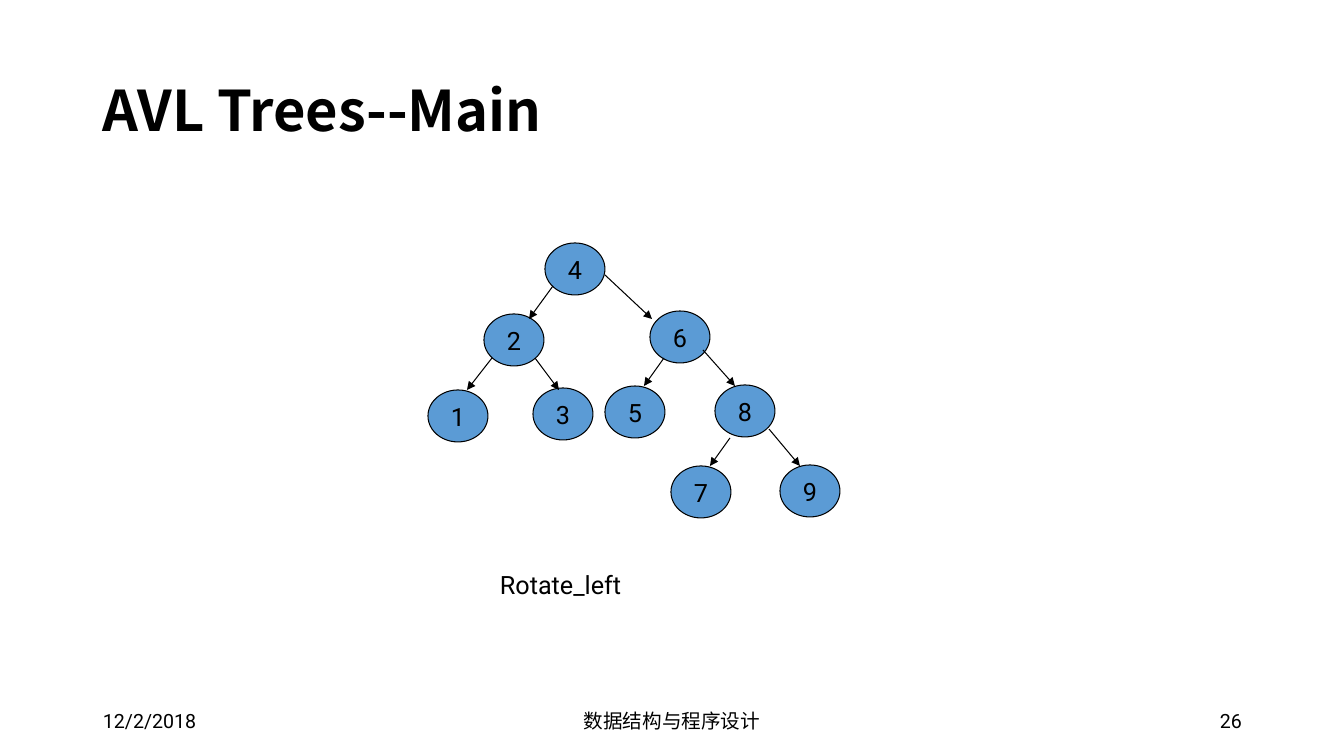
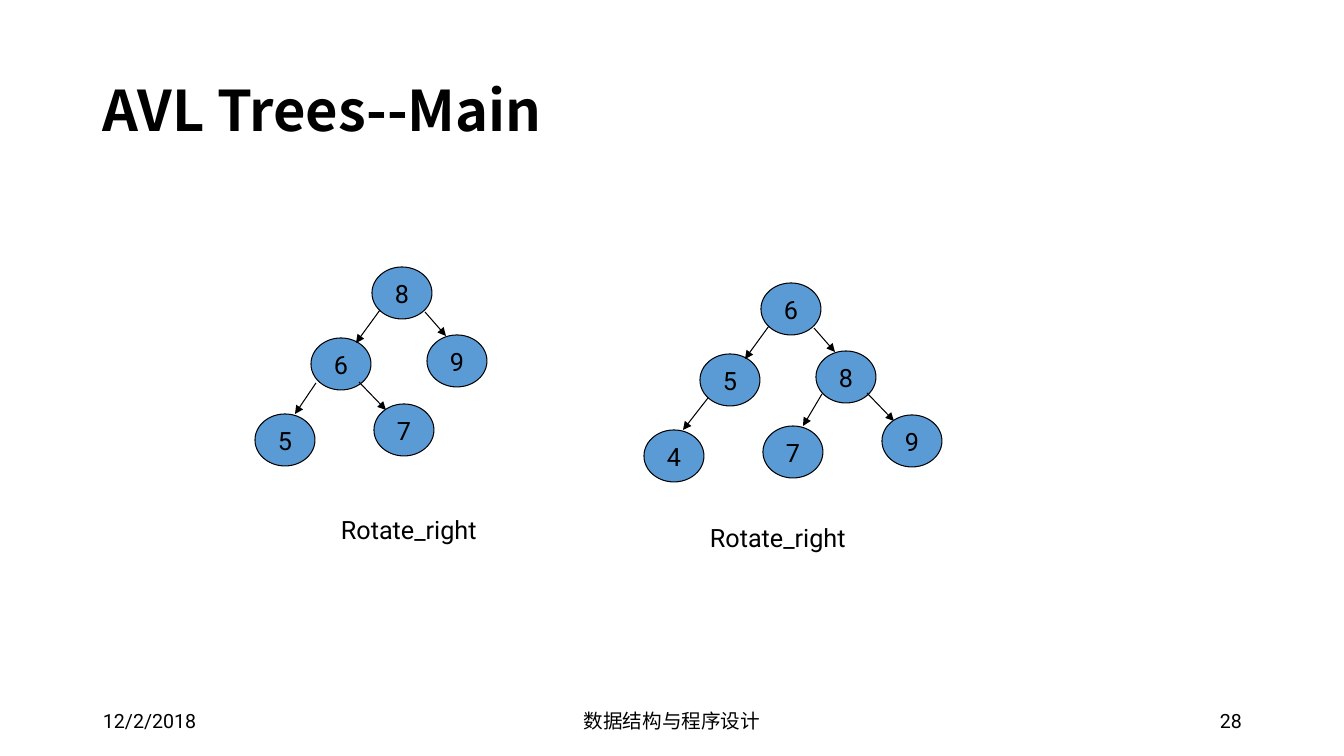
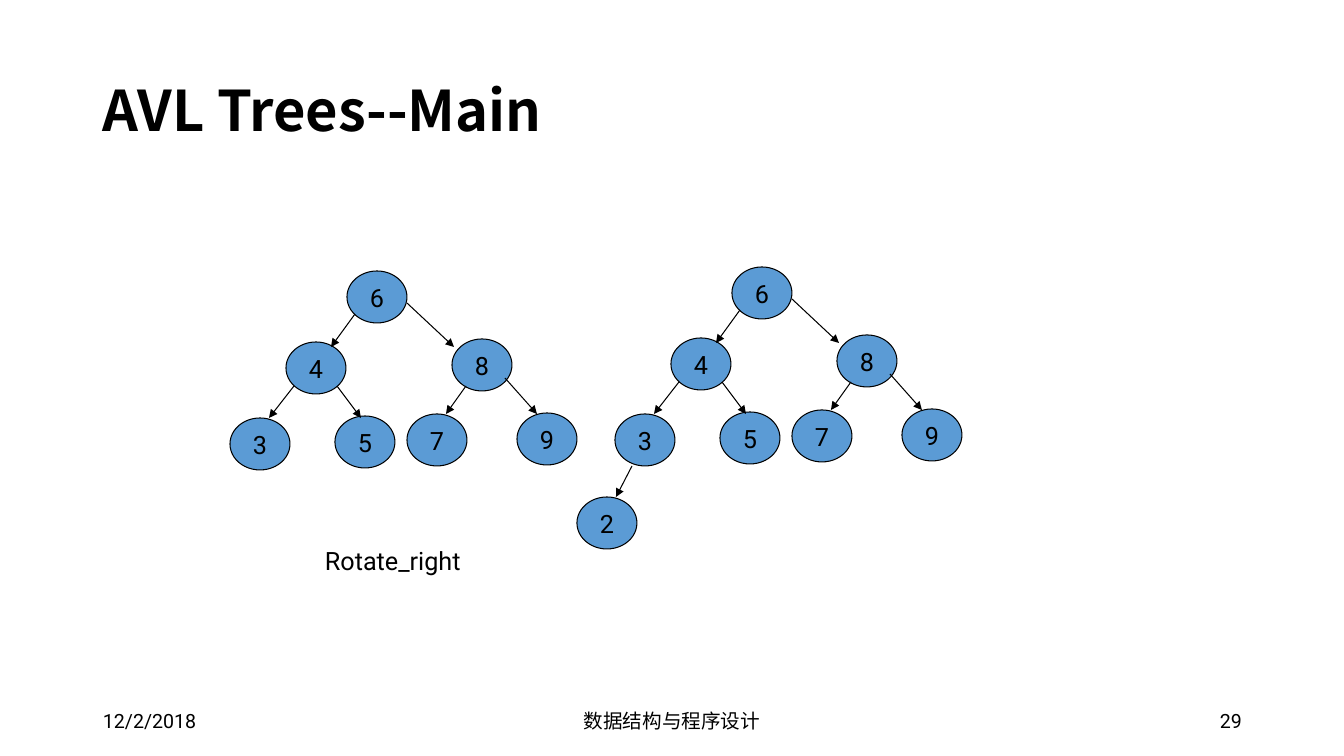
import pptx
import pptx.util
import pptx.dml.color
import pptx.enum.shapes
import pptx.enum.text
import pptx.oxml.ns
import lxml.etree

PIXEL = 914400 / 100.8
COLORS = {"ink": "000000", "node": "5B9BD5", "background": "FFFFFF"}
BODY_FONT = "Roboto"
TITLE_FONT = "Noto Sans CJK SC"
NODE_WIDTH, NODE_HEIGHT = 60, 52

TITLE = "AVL Trees--Main"
DATE = "12/2/2018"
COURSE = "数据结构与程序设计"

# Each branch path maps to (node offset, arrow start, arrow end), measured from the root.
LEFT_BRANCH = {
    "": ((0, 0), None, None),
    "L": ((-61, 71), (8, 43), (-16, 76)),
    "LL": ((-117, 147), (-53, 115), (-78, 147)),
}
WIDE = {
    **LEFT_BRANCH,
    "R": ((105, 68), (60, 32), (107, 76)),
    "LR": ((-12, 145), (-10, 115), (14, 147)),
    "RL": ((60, 143), (119, 115), (99, 143)),
    "RR": ((170, 142), (158, 107), (190, 143)),
    "LLL": ((-155, 230), (-100, 199), (-116, 230)),
    "RRL": ((126, 223), (185, 195), (165, 223)),
    "RRR": ((235, 222), (224, 186), (255, 223)),
}
NARROW = {**LEFT_BRANCH, "R": ((55, 68), (53, 45), (74, 69))}
LEFT_HEAVY = {
    **NARROW,
    "LL": ((-117, 147), (-56, 116), (-77, 147)),
    "LR": ((2, 137), (-13, 115), (14, 143)),
}
RIGHT_HEAVY = {
    **NARROW,
    "RL": ((2, 143), (61, 111), (42, 143)),
    "RR": ((121, 132), (106, 110), (133, 138)),
}

BALANCED = {"": 6, "L": 4, "R": 8, "LL": 3, "LR": 5, "RL": 7, "RR": 9}
SLIDES = [
    {
        "number": 26,
        "trees": [
            (WIDE, (545, 243), {"": 4, "L": 2, "R": 6, "LL": 1, "LR": 3,
                                "RL": 5, "RR": 8, "RRL": 7, "RRR": 9}),
        ],
        "captions": [("Rotate_left", 490, 564)],
    },
    {
        "number": 28,
        "trees": [
            (LEFT_HEAVY, (372, 267), {"": 8, "L": 6, "R": 9, "LL": 5, "LR": 7}),
            (RIGHT_HEAVY, (761, 283),
             {"": 6, "L": 5, "R": 8, "LL": 4, "RL": 7, "RR": 9}),
        ],
        "captions": [("Rotate_right", 331, 509), ("Rotate_right", 700, 517)],
    },
    {
        "number": 29,
        "trees": [
            (WIDE, (347, 271), BALANCED),
            (WIDE, (732, 267), {**BALANCED, "LLL": 2}),
        ],
        "captions": [("Rotate_right", 315, 540)],
    },
]

ALIGN = pptx.enum.text.PP_ALIGN
ANCHOR = pptx.enum.text.MSO_ANCHOR


def px(*lengths):
    return [round(length * PIXEL) for length in lengths]


def color(name):
    return pptx.dml.color.RGBColor.from_string(COLORS[name])


def write(shape, text, size, align=ALIGN.LEFT, anchor=ANCHOR.MIDDLE,
          wrap=True, font=BODY_FONT, bold=False):
    frame = shape.text_frame
    frame.word_wrap = wrap
    frame.vertical_anchor = anchor
    paragraph = frame.paragraphs[0]
    paragraph.text = text
    paragraph.alignment = align
    paragraph.font.name = font
    paragraph.font.size = pptx.util.Pt(size)
    paragraph.font.bold = bold
    paragraph.font.color.rgb = color("ink")
    return paragraph


def add_text(slide, box, text, size, **style):
    return write(slide.shapes.add_textbox(*px(*box)), text, size, **style)


def outline(shape):
    shape.line.color.rgb = color("ink")
    shape.line.width = pptx.util.Pt(0.75)


def add_node(slide, left, top, key):
    node = slide.shapes.add_shape(
        pptx.enum.shapes.MSO_SHAPE.OVAL, *px(left, top, NODE_WIDTH, NODE_HEIGHT))
    node.shadow.inherit = False
    node.fill.solid()
    node.fill.fore_color.rgb = color("node")
    outline(node)
    write(node, str(key), 18, align=ALIGN.CENTER, wrap=False)


def add_arrow(slide, start, end):
    arrow = slide.shapes.add_connector(
        pptx.enum.shapes.MSO_CONNECTOR.STRAIGHT, *px(*start, *end))
    outline(arrow)
    qn = pptx.oxml.ns.qn
    lxml.etree.SubElement(arrow.line._get_or_add_ln(), qn("a:tailEnd"), type="triangle")
    lxml.etree.SubElement(arrow._element.spPr, qn("a:effectLst"))


def add_tree(slide, layout, root, keys):
    def place(offset):
        return root[0] + offset[0], root[1] + offset[1]

    for branch, key in keys.items():
        offset, start, end = layout[branch]
        add_node(slide, *place(offset), key)
        if branch:
            add_arrow(slide, place(start), place(end))


def add_frame(slide, number):
    slide.background.fill.solid()
    slide.background.fill.fore_color.rgb = color("background")
    title = add_text(slide, (93, 40, 1159, 146), TITLE, 40, font=TITLE_FONT, bold=True)
    title.line_spacing = 0.9
    footers = [
        (DATE, 93, 302, ALIGN.LEFT),
        (COURSE, 445, 454, ALIGN.CENTER),
        (str(number), 950, 302, ALIGN.RIGHT),
    ]
    for text, left, width, align in footers:
        add_text(slide, (left, 701, width, 40), text, 14, align=align)


def main():
    presentation = pptx.Presentation()
    presentation.slide_width, presentation.slide_height = px(1344, 756)
    for content in SLIDES:
        slide = presentation.slides.add_slide(presentation.slide_layouts[6])
        add_frame(slide, content["number"])
        for layout, root, keys in content["trees"]:
            add_tree(slide, layout, root, keys)
        for text, left, top in content["captions"]:
            add_text(slide, (left, top, 191, 40), text, 18, anchor=ANCHOR.TOP)
    presentation.save("out.pptx")


if __name__ == "__main__":
    main()
